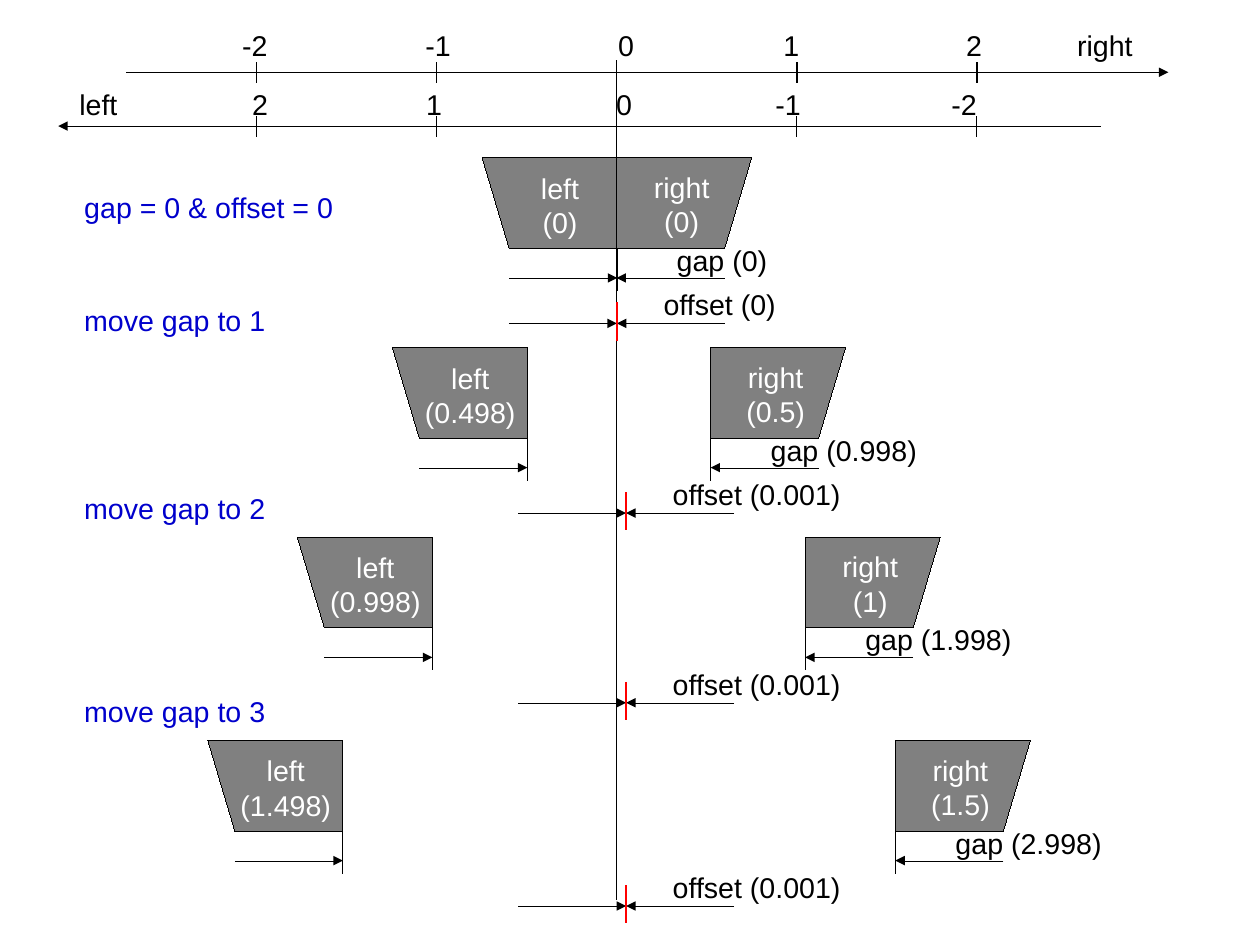
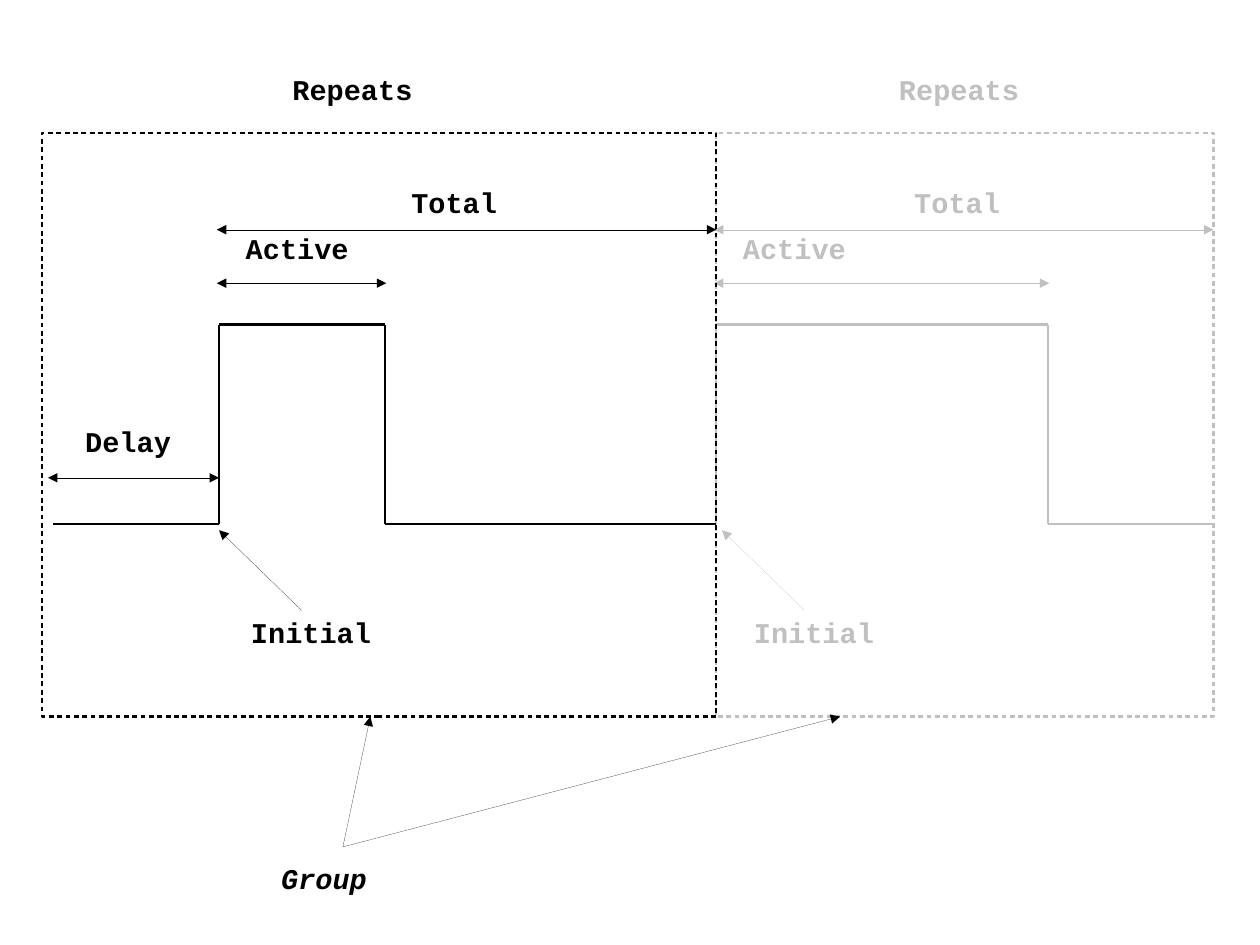
from itertools import pairwise

from lxml import etree
from pptx import Presentation
from pptx.dml.color import RGBColor
from pptx.enum.shapes import MSO_CONNECTOR, MSO_SHAPE
from pptx.enum.text import PP_ALIGN as ALIGN
from pptx.oxml.ns import qn
from pptx.util import Pt

COLORS = {"black": "000000", "white": "FFFFFF", "blade": "808080",
          "red": "FF0000", "blue": "0000CC", "faded": "C0C0C0"}
HAIRLINE = 0


def add_line(slide, start, end, ink="black", width=HAIRLINE, arrows=()):
    """Straight line; arrows may hold headEnd (at start) and tailEnd (at end)."""
    line = slide.shapes.add_connector(
        MSO_CONNECTOR.STRAIGHT, *[Pt(value) for value in (*start, *end)])
    # Without the theme style, an unset width is a hairline
    line._element.remove(line._element.find(qn("p:style")))
    line.line.color.rgb = RGBColor.from_string(COLORS[ink])
    line.line.width = Pt(width)
    for arrow in arrows:
        etree.SubElement(line.line._get_or_add_ln(), qn(f"a:{arrow}"), type="triangle")
    etree.SubElement(line._element.spPr, qn("a:effectLst"))


def add_text(slide, text, x, y, width, ink="black", font="Arial",
             align=ALIGN.LEFT, bold=False, italic=False):
    lines = text.split("\n")
    box = slide.shapes.add_textbox(Pt(x), Pt(y), Pt(width), Pt(7 + 21 * len(lines)))
    frame = box.text_frame
    frame.word_wrap = True
    frame.text = text
    for paragraph in frame.paragraphs:
        paragraph.alignment = align
        paragraph.font.name = font
        paragraph.font.size = Pt(18)
        paragraph.font.bold = bold
        paragraph.font.italic = italic
        paragraph.font.color.rgb = RGBColor.from_string(COLORS[ink])


presentation = Presentation()
presentation.slide_width = Pt(793.7)
presentation.slide_height = Pt(595.28)
blank = presentation.slide_layouts[6]

# Slide 1: gap and offset of two blades
slide = presentation.slides.add_slide(blank)
ZERO, UNIT = 388.6, 113.4
add_line(slide, (ZERO, 38), (ZERO, 566.6))

# Two opposed axes: start, end, y, line width, label top, labels with centres
axes = [
    (79.4, 736, 45.5, 0.79, 14,
     [("-2", 160.6), ("-1", 276), ("0", 394.4), ("1", 498.5), ("2", 613.6), ("right", 696)]),
    (693.4, 36.7, 79.4, HAIRLINE, 51.1,
     [("left", 62), ("2", 163.8), ("1", 273.4), ("0", 393.2), ("-1", 496.4), ("-2", 607.3)]),
]
for start, end, y, width, label_top, labels in axes:
    add_line(slide, (start, y), (end, y), width=width, arrows=["tailEnd"])
    for step in range(-2, 3):
        x = ZERO + step * UNIT
        add_line(slide, (x, y - 6.2), (x, y + 6.8), width=width)
    for label, center in labels:
        add_text(slide, label, center - 40, label_top, 80, align=ALIGN.CENTER)

# Positions: title, title top, blade top, inner edges, offset mark, values
BLADE_LENGTH, BLADE_HEIGHT, ARROW = 85, 57, 68
positions = [
    ("gap = 0 & offset = 0", 116, 99.5, 388.8, 388.4, ZERO, "0", "0", "0", "0"),
    ("move gap to 1", 187, 219, 332.2, 447.6, 394.4, "0.498", "0.5", "0.998", "0.001"),
    ("move gap to 2", 306, 338.5, 272.4, 507.2, 394.4, "0.998", "1", "1.998", "0.001"),
    ("move gap to 3", 433.7, 466.5, 216, 564, 394.4, "1.498", "1.5", "2.998", "0.001"),
]
for (title, title_top, top, left_edge, right_edge, mark,
     left_value, right_value, gap, offset) in positions:
    add_text(slide, title, 46, title_top, 200, "blue")

    # Blades, each with its edge line and gap arrow; side points away from the gap
    blades = [("left", left_value, left_edge, -1, -36, 4.5),
              ("right", right_value, right_edge, 1, 41, 4)]
    for name, value, edge, side, text_shift, text_drop in blades:
        center_x = edge + side * BLADE_LENGTH / 2
        center_y = top + BLADE_HEIGHT / 2
        blade = slide.shapes.add_shape(
            MSO_SHAPE.FLOWCHART_MANUAL_INPUT,
            Pt(center_x - BLADE_HEIGHT / 2), Pt(center_y - BLADE_LENGTH / 2),
            Pt(BLADE_HEIGHT), Pt(BLADE_LENGTH))
        blade._element.remove(blade._element.find(qn("p:style")))
        blade.rotation = 90 * side
        if side > 0:
            blade._element.spPr.find(qn("a:xfrm")).set("flipH", "1")
        blade.shadow.inherit = False
        blade.fill.solid()
        blade.fill.fore_color.rgb = RGBColor.from_string(COLORS["blade"])
        blade.line.color.rgb = RGBColor.from_string(COLORS["black"])
        blade.line.width = Pt(HAIRLINE)
        add_text(slide, f"{name}\n({value})", edge + text_shift - 42, top + text_drop, 84,
                 "white", align=ALIGN.CENTER)
        add_line(slide, (edge, top + 55.5), (edge, top + 83.5))
        add_line(slide, (edge + side * ARROW, top + 75.6), (edge, top + 75.6),
                 arrows=["tailEnd"])
        add_line(slide, (mark + side * ARROW, top + 104.2), (mark, top + 104.2),
                 arrows=["tailEnd"])

    add_text(slide, f"gap ({gap})", right_edge + 30.8, top + 50, 167)
    add_text(slide, f"offset ({offset})", mark + 22.3, top + 78, 152)
    add_line(slide, (mark, top + 91), (mark, top + 115), "red", 1.45)

# Slide 2: pulse timing of two repeated groups
slide = presentation.slides.add_slide(blank)
CELL = 104.4
HIGH, LOW = 204.5, 330.2
FRAME_TOP, FRAME_BOTTOM = 83.7, 451.4
FIRST = 138
SECOND = FIRST + 3 * CELL
MONO = {"font": "Courier New", "bold": True}
BOTH = ["headEnd", "tailEnd"]

# Groups: ink, pulse start, active cells, frame left, title x, label shift
groups = [("faded", SECOND, 2, SECOND, 559.2, 3.6),
          ("black", FIRST, 1, 26.6, 177.1, 0)]
for ink, start, active, frame_left, title_x, shift in groups:
    fall, end = start + active * CELL, start + 3 * CELL
    wave = [(start, LOW), (start, HIGH), (fall, HIGH), (fall, LOW), (end, LOW)]
    if start == FIRST:
        wave.insert(0, (start - CELL, LOW))
    for corner, next_corner in pairwise(wave):
        add_line(slide, corner, next_corner, ink, 1.5)

    frame = slide.shapes.add_shape(
        MSO_SHAPE.RECTANGLE, Pt(frame_left), Pt(FRAME_TOP),
        Pt(end - frame_left), Pt(FRAME_BOTTOM - FRAME_TOP))
    frame.shadow.inherit = False
    frame.fill.background()
    frame.line.color.rgb = RGBColor.from_string(COLORS[ink])
    frame.line.width = Pt(1.5)
    dashes = etree.SubElement(frame.line._get_or_add_ln(), qn("a:custDash"))
    etree.SubElement(dashes, qn("a:ds"), d="200000", sp="150000")

    add_line(slide, (start - 1.4, 144.7), (end, 144.7), ink, arrows=BOTH)
    add_line(slide, (start - 1.4, 178.4), (fall + 1, 178.4), ink, arrows=BOTH)
    add_line(slide, (start + shift + 52, 384.5), (start + shift, 334), ink,
             arrows=["tailEnd"])
    for label, x, y in [("Repeats", title_x, 42),
                        ("Total", start + shift + 114, 113),
                        ("Active", start + 9.7, 142.2),
                        ("Initial", start + shift + 13, 384)]:
        add_text(slide, label, x, y, 110, ink, **MONO)

# Delay before the first pulse
add_line(slide, (30.2, 301), (FIRST, 301), arrows=BOTH)
add_text(slide, "Delay", 46.6, 263.5, 92, **MONO)

# Group label pointing at both frames
add_text(slide, "Group", 170, 538.5, 104, italic=True, **MONO)
for target in (233.3, 529.2):
    add_line(slide, (216, 533.5), (target, FRAME_BOTTOM), arrows=["tailEnd"])

presentation.save("out.pptx")
